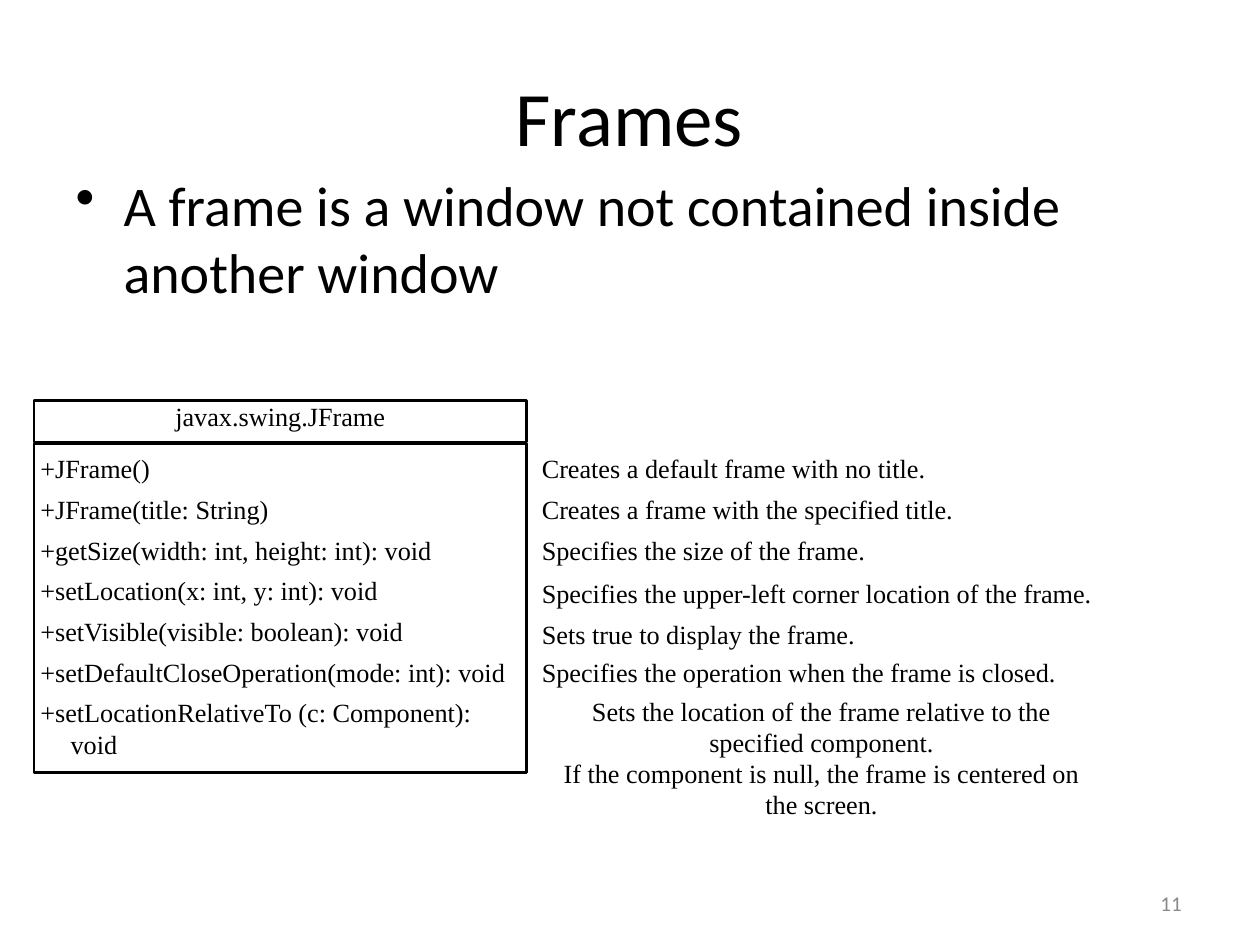
import pptx
import pptx.dml.color
import pptx.enum.shapes
import pptx.enum.text
import pptx.oxml
import pptx.oxml.ns
import pptx.util

Inches = pptx.util.Inches
Pt = pptx.util.Pt
Align = pptx.enum.text.PP_ALIGN


def color(value):
    return pptx.dml.color.RGBColor.from_string(value)


class FrameSlide:
    """Holds the text styles and the page, and adds each kind of element."""

    ink = "000000"
    gray = "898989"
    sans = "Calibri"
    serif = "Times New Roman"

    def __init__(self, deck):
        self.page = deck.slides.add_slide(deck.slide_layouts[6])

    def fill_text(self, shape, lines, font, size, ink=ink, inset=0):
        frame = shape.text_frame
        frame.word_wrap = True
        frame.vertical_anchor = pptx.enum.text.MSO_ANCHOR.TOP
        frame.margin_left = frame.margin_right = frame.margin_bottom = 0
        frame.margin_top = Inches(inset)
        frame.text = "\n".join(lines)
        for para in frame.paragraphs:
            para.alignment = Align.LEFT
            for span in para.runs:
                span.font.name = font
                span.font.size = Pt(size)
                span.font.color.rgb = color(ink)
        return frame.paragraphs

    def text(self, left, top, width, height, lines, font, size, **style):
        box = self.page.shapes.add_textbox(*map(Inches, (left, top, width, height)))
        return self.fill_text(box, lines, font, size, **style)

    def compartment(self, top, height, lines, inset=0):
        box = self.page.shapes.add_shape(
            pptx.enum.shapes.MSO_SHAPE.RECTANGLE,
            *map(Inches, (0.27, top, 3.91, height)))
        box.shadow.inherit = False
        box.fill.background()
        box.line.color.rgb = color(self.ink)
        box.line.width = Pt(1.37)
        return self.fill_text(box, lines, self.serif, 15, inset=inset)

    def indent(self, para, left, first=0, right=0):
        properties = para._p.get_or_add_pPr()
        for name, length in (("marL", left), ("indent", first), ("marR", right)):
            properties.set(name, str(Inches(length)))

    def bullet(self, para):
        namespace = pptx.oxml.ns.nsdecls("a")
        para._p.get_or_add_pPr().append(
            pptx.oxml.parse_xml(f'<a:buChar {namespace} char="•"/>'))
        self.indent(para, 0.39, -0.38)


def main():
    deck = pptx.Presentation()
    deck.slide_width = Inches(10)
    deck.slide_height = Inches(7.5)
    slide = FrameSlide(deck)

    slide.text(9.21, 7.07, 0.24, 0.19, ["11"], slide.sans, 12, ink=slide.gray)
    title = slide.text(0.98, 0.54, 8.03, 0.69, ["Frames"], slide.sans, 44, inset=0.01)
    title[0].alignment = Align.CENTER
    definition = slide.text(
        0.59, 1.34, 7.85, 1.1,
        ["A frame is a window not contained inside another window"],
        slide.sans, 32, inset=0.01)
    slide.bullet(definition[0])

    header = slide.compartment(3.18, 0.33, ["javax.swing.JFrame"])
    header[0].alignment = Align.CENTER
    methods = slide.compartment(3.52, 2.61, [
        "+JFrame()",
        "+JFrame(title: String)",
        "+getSize(width: int, height: int): void",
        "+setLocation(x: int, y: int): void",
        "+setVisible(visible: boolean): void",
        "+setDefaultCloseOperation(mode: int): void",
        "+setLocationRelativeTo (c: Component): void",
    ], inset=0.07)
    for para in methods:
        slide.indent(para, 0.05)
    for para in methods[1:]:
        para.space_before = Pt(5.3)
    slide.indent(methods[-1], 0.29, -0.24, 0.3)
    methods[-1].line_spacing = Pt(17.8)

    notes = slide.text(4.29, 3.51, 5.58, 2.53, [
        "Creates a default frame with no title. Creates a frame with the "
        "specified title. Specifies the size of the frame.",
        "Specifies the upper-left corner location of the frame. "
        "Sets true to display the frame.",
        "Specifies the operation when the frame is closed.",
        "Sets the location of the frame relative to the specified component.",
        "If the component is null, the frame is centered on the screen.",
    ], slide.serif, 15, inset=0.01)
    layout = [
        (0.01, 2.07, 1.29, 0),
        (0.01, 1.1, Pt(23.4), 1.6),
        (0.01, 0, 1.0, 3.6),
        (0.08, 1.2, Pt(17.7), 4.8),
        (0.08, 1.2, Pt(17.7), 0),
    ]
    for para, (left, right, spacing, before) in zip(notes, layout):
        slide.indent(para, left, right=right)
        para.line_spacing = spacing
        para.space_before = Pt(before)
    for para in notes[3:]:
        para.alignment = Align.CENTER

    deck.save("out.pptx")


if __name__ == "__main__":
    main()
